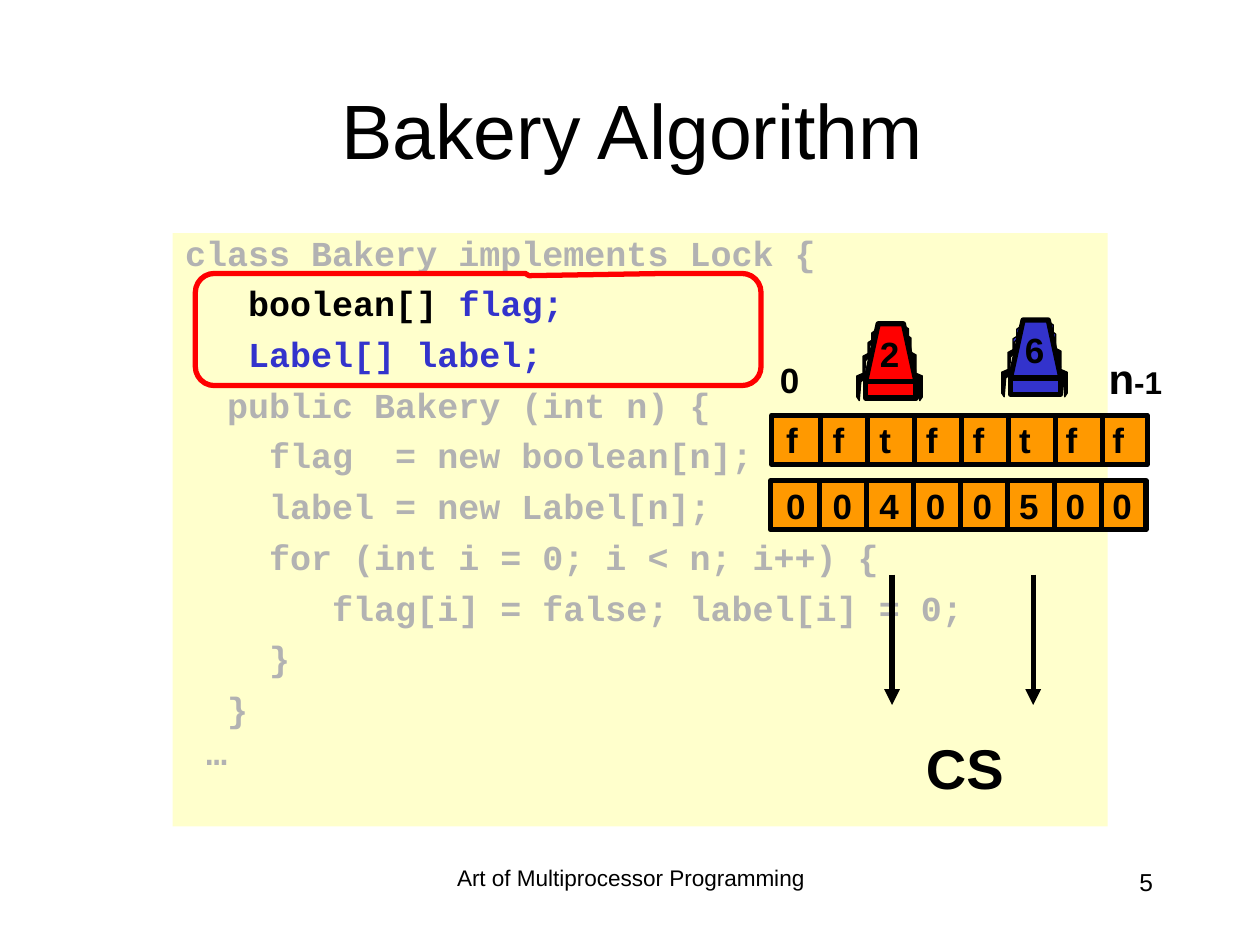
from pptx import Presentation
from pptx.dml.color import RGBColor as Rgb
from pptx.enum.shapes import MSO_CONNECTOR as Conn, MSO_SHAPE as Kind
from pptx.enum.text import MSO_ANCHOR as Anchor, MSO_AUTO_SIZE as Auto, PP_ALIGN as Align
from pptx.oxml.ns import qn
from pptx.util import Emu, Inches, Pt
from lxml.etree import SubElement as Sub

COLS, ROWS = 100, 75
WIDE, HIGH = Inches(10), Inches(7.5)
BLACK, GREY, BLUE, RED = "000000", "B2B2B2", "3333CC", "FF0000"
ORANGE, CREAM = "FF9900", "FFFFCC"
CODE = [
    [("class Bakery implements Lock {", GREY)],
    [("   boolean[] ", BLACK), ("flag;", BLUE)],
    [("   Label[] label;", BLUE)],
    [("  public Bakery (int n) {", GREY)],
    [("    flag  = new boolean[n];", GREY)],
    [("    label = new Label[n];", GREY)],
    [("    for (int i = 0; i < n; i++) {", GREY)],
    [("       flag[i] = false; label[i] = 0;", GREY)],
    [("    }", GREY)],
    [("  }", GREY)],
    [(" …", GREY)],
]
FLAPS = [
    (3.7, 3.8, 0.8, 2.3, False), (3.5, 2.2, 0.5, 1.8, False),
    (3.3, 0.9, 0.3, 1.5, True), (3.1, 0.2, 0.3, 1.3, True),
    (0.1, 3.8, -0.8, 2.3, False), (0.3, 2.3, -0.5, 1.8, False),
    (0.8, 0.5, -0.3, 1.5, True), (0.5, 1.3, -0.3, 1.3, True),
]
BEND = [(0, 0), (1, 0.15), (1, 0.87), (0.75, 1), (0.6, 0.35), (0, 0.18)]


def col(n):
    """Turn grid columns into a length."""
    return Emu(round(WIDE * n / COLS))


def row(n):
    """Turn grid rows into a length."""
    return Emu(round(HIGH * n / ROWS))


def area(x, y, w, h):
    """Turn a grid area into left, top, width and height."""
    return col(x), row(y), col(w), row(h)


def tint(code):
    """Turn a hex string into a colour."""
    return Rgb.from_string(code)


def style(shape, fill=None, line=None, width=3):
    """Set fill and outline and drop the shadow."""
    shape.shadow.inherit = False
    if fill:
        shape.fill.solid()
        shape.fill.fore_color.rgb = tint(fill)
    else:
        shape.fill.background()
    if line:
        shape.line.color.rgb = tint(line)
        shape.line.width = Pt(width)
    else:
        shape.line.fill.background()
    return shape


def add_run(para, text, size=20, color=BLACK, bold=True, font="Arial"):
    """Add formatted text to a paragraph."""
    run = para.add_run()
    run.text = text
    run.font.size, run.font.bold, run.font.name = Pt(size), bold, font
    run.font.color.rgb = tint(color)


def label(slide, text, place, align=Align.LEFT, wrap=False, tail=None, space=None, **form):
    """Add a text box, with an optional smaller tail."""
    frame = slide.shapes.add_textbox(*area(*place)).text_frame
    frame.word_wrap = wrap
    frame.auto_size = Auto.NONE if wrap else Auto.SHAPE_TO_FIT_TEXT
    para = frame.paragraphs[0]
    para.alignment, para.line_spacing = align, space
    add_run(para, text, **form)
    if tail:
        add_run(para, tail, size=18)


def rect(slide, place, fill, line=None, kind=Kind.RECTANGLE):
    """Add a preset shape."""
    return style(slide.shapes.add_shape(kind, *area(*place)), fill, line)


def stroke(slide, x, top, end, arrow=False):
    """Add an upright line, with an optional arrowhead at its end."""
    line = slide.shapes.add_connector(Conn.STRAIGHT, col(x), row(top), col(x), row(end))
    line.line.color.rgb, line.line.width = tint(BLACK), Pt(3)
    if arrow:
        Sub(line.line._get_or_add_ln(), qn("a:tailEnd"), type="triangle")
    Sub(line._element.spPr, qn("a:effectLst"))


def outline(slide, dots, fill, width):
    """Add a closed outline through grid points."""
    spots = [(col(x), row(y)) for x, y in dots]
    build = slide.shapes.build_freeform(*spots[0])
    build.add_line_segments(spots[1:], close=True)
    style(build.convert_to_shape(), fill, BLACK, width)


def thread(slide, x, y, fill, trim, text):
    """Draw a numbered thread figure."""
    for dx, dy, w, h, small in FLAPS:
        dots = [(x + dx + w * u, y + dy + h * v) for u, v in BEND]
        outline(slide, dots, trim if small else BLACK, 0.75)
    outline(slide, [(x, y + 4.6), (x + 1, y), (x + 3, y), (x + 4, y + 4.6)], fill, 3)
    rect(slide, (x, y + 4.6, 4, 1.3), fill, BLACK)
    label(slide, text, (x + 0.15, y + 0.2, 3.5, 4.4))


def array(slide, x, y, cells, wide):
    """Draw a row of equal cells with their values."""
    rect(slide, (x, y, 29.8, 3.9), ORANGE, BLACK)
    for i, cell in enumerate(cells):
        if i:
            stroke(slide, x + 0.15 + 3.73 * i, y, y + 3.9)
        label(slide, cell, (61.4 + 3.7 * i, y - 0.2, wide, 4.4))


def listing(slide):
    """Add the code panel."""
    frame = rect(slide, (13.7, 18.5, 74.2, 47.1), CREAM).text_frame
    frame.word_wrap, frame.vertical_anchor = True, Anchor.TOP
    for i, parts in enumerate(CODE):
        para = frame.add_paragraph() if i else frame.paragraphs[0]
        para.alignment, para.space_before = Align.LEFT, Pt(5)
        para.line_spacing = 0.8 if i in (0, len(CODE) - 1) else 1.0
        props = para._p.get_or_add_pPr()
        props.set("marL", str(Inches(0.25)))
        props.set("indent", str(-Inches(0.25)))
        for text, color in parts:
            add_run(para, text, color=color, font="Courier New")


def heading(slide, text):
    """Place and fill the title."""
    title = slide.shapes.title
    title.left, title.top, title.width, title.height = area(7.7, 4, 85, 12.5)
    title.text_frame.vertical_anchor = Anchor.MIDDLE
    para = title.text_frame.paragraphs[0]
    para.alignment = Align.CENTER
    add_run(para, text, size=44, bold=False)


def main():
    """Build and save the slide."""
    deck = Presentation()
    deck.slide_width, deck.slide_height = WIDE, HIGH
    slide = deck.slides.add_slide(deck.slide_layouts[5])
    label(slide, "Art of Multiprocessor Programming", (34.2, 68.3, 31.7, 5),
          align=Align.CENTER, wrap=True, space=0.9, size=12.9, bold=False)
    label(slide, "5", (71.7, 68.3, 20.8, 5), align=Align.RIGHT, wrap=True, size=14, bold=False)
    heading(slide, "Bakery Algorithm")
    listing(slide)
    label(slide, "n", (87, 27.5, 7, 5), size=24, tail="-1")
    label(slide, "0", (60.9, 28, 3.5, 4.4))
    array(slide, 61.25, 32.95, "fftfftff", 2.9)
    array(slide, 61.15, 38.15, "00400500", 3.5)
    thread(slide, 68.7, 25.7, RED, BLACK, "2")
    thread(slide, 80.2, 25.4, BLUE, BLUE, "6")
    for x in (70.8, 82):
        stroke(slide, x, 45.6, 55.95, arrow=True)
    label(slide, "CS", (72.5, 57.7, 8.2, 6.4), size=32)
    ring = rect(slide, (15.5, 21.7, 44.9, 8.9), None, RED, Kind.ROUNDED_RECTANGULAR_CALLOUT)
    for i, share in enumerate((0.09, -0.48, 0.17)):
        ring.adjustments[i] = share
    deck.save("out.pptx")


if __name__ == "__main__":
    main()
